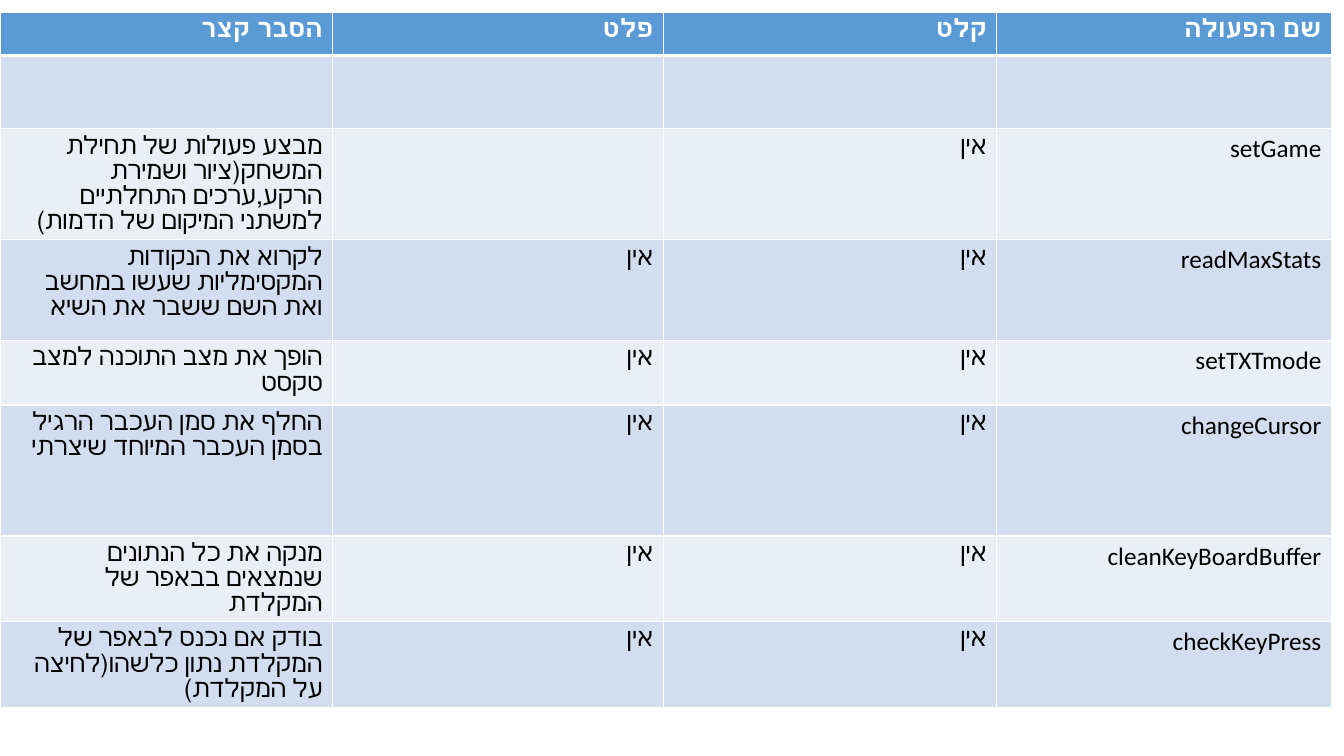
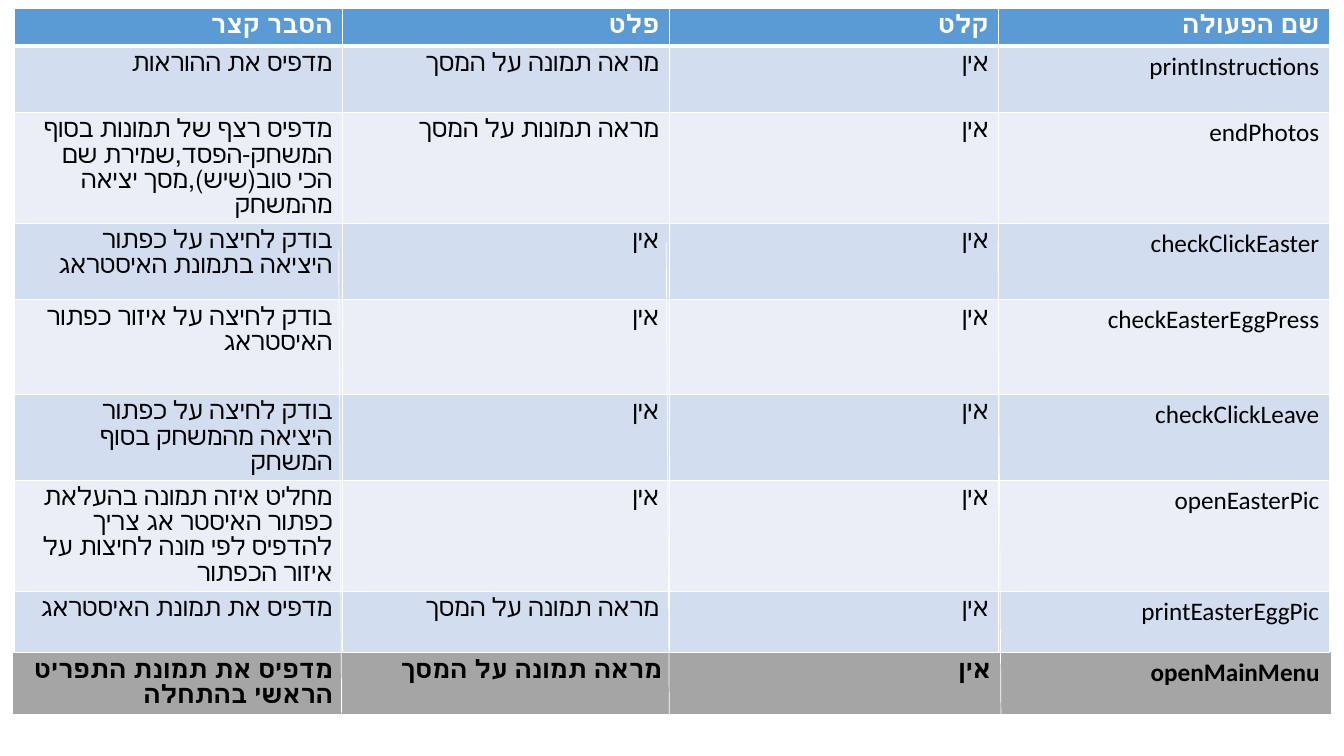
import pptx
import pptx.dml.color
import pptx.enum.shapes
import pptx.enum.text
import pptx.oxml
import pptx.oxml.ns
import pptx.util

Pt = pptx.util.Pt
RGBColor = pptx.dml.color.RGBColor

WHITE = RGBColor(0xFF, 0xFF, 0xFF)
BLACK = RGBColor(0, 0, 0)
BLUE = RGBColor(0x5B, 0x9B, 0xD5)
BAND_DARK = RGBColor(0xD2, 0xDE, 0xEF)
BAND_LIGHT = RGBColor(0xEA, 0xEF, 0xF7)
GRAY = RGBColor(0xA5, 0xA5, 0xA5)

FONT = "Calibri"
NONE = "אין"
SHOWS_IMAGE = "מראה תמונה על המסך"
HEADINGS = ("הסבר קצר", "פלט", "קלט", "שם הפעולה")

SETUP_ACTIONS = [
    ("", "", "", ""),
    ("מבצע פעולות של תחילת המשחק(ציור ושמירת הרקע,ערכים התחלתיים למשתני המיקום של הדמות)",
     "", NONE, "setGame"),
    ("לקרוא את הנקודות המקסימליות שעשו במחשב ואת השם ששבר את השיא", NONE, NONE, "readMaxStats"),
    ("הופך את מצב התוכנה למצב טקסט", NONE, NONE, "setTXTmode"),
    ("החלף את סמן העכבר הרגיל בסמן העכבר המיוחד שיצרתי", NONE, NONE, "changeCursor"),
    ("מנקה את כל הנתונים שנמצאים בבאפר של המקלדת", NONE, NONE, "cleanKeyBoardBuffer"),
    ("בודק אם נכנס לבאפר של המקלדת נתון כלשהו(לחיצה על המקלדת)", NONE, NONE, "checkKeyPress"),
]
SETUP_HEIGHTS = (31, 52.5, 79.2, 72, 46, 93.6, 61.2, 61.2)

SCREEN_ACTIONS = [
    ("מדפיס את ההוראות", SHOWS_IMAGE, NONE, "printInstructions"),
    ("מדפיס רצף של תמונות בסוף המשחק-הפסד,שמירת שם הכי טוב(שיש),מסך יציאה מהמשחק",
     "מראה תמונות על המסך", NONE, "endPhotos"),
    ("בודק לחיצה על כפתור היציאה בתמונת האיסטראג", NONE, NONE, "checkClickEaster"),
    ("בודק לחיצה על איזור כפתור האיסטראג", NONE, NONE, "checkEasterEggPress"),
    ("בודק לחיצה על כפתור היציאה מהמשחק בסוף המשחק", NONE, NONE, "checkClickLeave"),
    ("מחליט איזה תמונה בהעלאת כפתור האיסטר אג צריך להדפיס לפי מונה לחיצות על איזור הכפתור",
     NONE, NONE, "openEasterPic"),
    ("מדפיס את תמונת האיסטראג", SHOWS_IMAGE, NONE, "printEasterEggPic"),
]
SCREEN_HEIGHTS = (27, 47.5, 79.2, 54.5, 67.7, 61.2, 79.2, 44)
MENU_ACTION = ("מדפיס את תמונת התפריט הראשי בהתחלה", SHOWS_IMAGE, NONE, "openMainMenu")


def write_text(frame, text, *, color=BLACK, bold=False, size=18):
    para = frame.paragraphs[0]
    para.alignment = pptx.enum.text.PP_ALIGN.RIGHT
    para._p.get_or_add_pPr().set("rtl", "1")
    para.font.size = Pt(size)
    if text:
        span = para.add_run()
        span.text = text
        span.font.name = FONT
        span.font.size = Pt(size)
        span.font.bold = bold
        span.font.color.rgb = color


def set_borders(cell, color, bottom_width=1):
    properties = cell._tc.get_or_add_tcPr()
    for side in "LRTB":
        width = Pt(bottom_width if side == "B" else 1)
        properties.append(pptx.oxml.parse_xml(
            f'<a:ln{side} {pptx.oxml.ns.nsdecls("a")} w="{width}"><a:solidFill>'
            f'<a:srgbClr val="{color}"/></a:solidFill></a:ln{side}>'))


def fill_row(table, index, texts, fill, *, border=WHITE, bottom_width=1, **text_format):
    for column, text in enumerate(texts):
        cell = table.cell(index, column)
        set_borders(cell, border, bottom_width)
        cell.fill.solid()
        cell.fill.fore_color.rgb = fill
        write_text(cell.text_frame, text, **text_format)


def add_grid(page, left, top, widths, heights):
    table = page.shapes.add_table(len(heights), len(widths), Pt(left), Pt(top),
                                  Pt(sum(widths)), Pt(sum(heights))).table
    table.first_row = False
    table.horz_banding = False
    for column, width in zip(table.columns, widths):
        column.width = Pt(width)
    for row, height in zip(table.rows, heights):
        row.height = Pt(height)
    return table


def add_action_table(page, left, top, widths, heights, actions):
    table = add_grid(page, left, top, widths, heights)
    fill_row(table, 0, HEADINGS, BLUE, bottom_width=3, color=WHITE, bold=True)
    for index, action in enumerate(actions, start=1):
        fill_row(table, index, action, BAND_DARK if index % 2 else BAND_LIGHT)


def add_menu_row(page, left, top, width, height):
    table = add_grid(page, left, top, [width / 4] * 4, [height])
    fill_row(table, 0, MENU_ACTION, GRAY, border=GRAY, bold=True)


def add_divider(page, left, top, bottom):
    line = page.shapes.add_connector(pptx.enum.shapes.MSO_CONNECTOR.STRAIGHT,
                                     Pt(left), Pt(top), Pt(left + 2.2), Pt(bottom))
    line.line.color.rgb = WHITE
    line.line.width = Pt(0.5)
    line._element.spPr.append(
        pptx.oxml.parse_xml(f'<a:effectLst {pptx.oxml.ns.nsdecls("a")}/>'))


def add_setup_page(deck, layout):
    page = deck.slides.add_slide(layout)
    add_action_table(page, 0, 8.6, (237.6, 236.2, 238.3, 239), SETUP_HEIGHTS, SETUP_ACTIONS)


def add_screen_page(deck, layout):
    page = deck.slides.add_slide(layout)
    left, top = 10, 6
    add_menu_row(page, left, top + sum(SCREEN_HEIGHTS), 940, 43.2)
    add_action_table(page, left, top, (234.7, 233.3, 235.4, 236.2), SCREEN_HEIGHTS, SCREEN_ACTIONS)
    for x, start, end in ((712.8, 172.8, 514), (475.9, 172.8, 514), (241.9, 177.8, 521.3)):
        add_divider(page, x, start, end)


def main():
    deck = pptx.Presentation()
    deck.slide_width, deck.slide_height = Pt(960), Pt(540)
    blank = deck.slide_layouts[6]
    add_setup_page(deck, blank)
    add_screen_page(deck, blank)
    deck.save("out.pptx")


if __name__ == "__main__":
    main()
